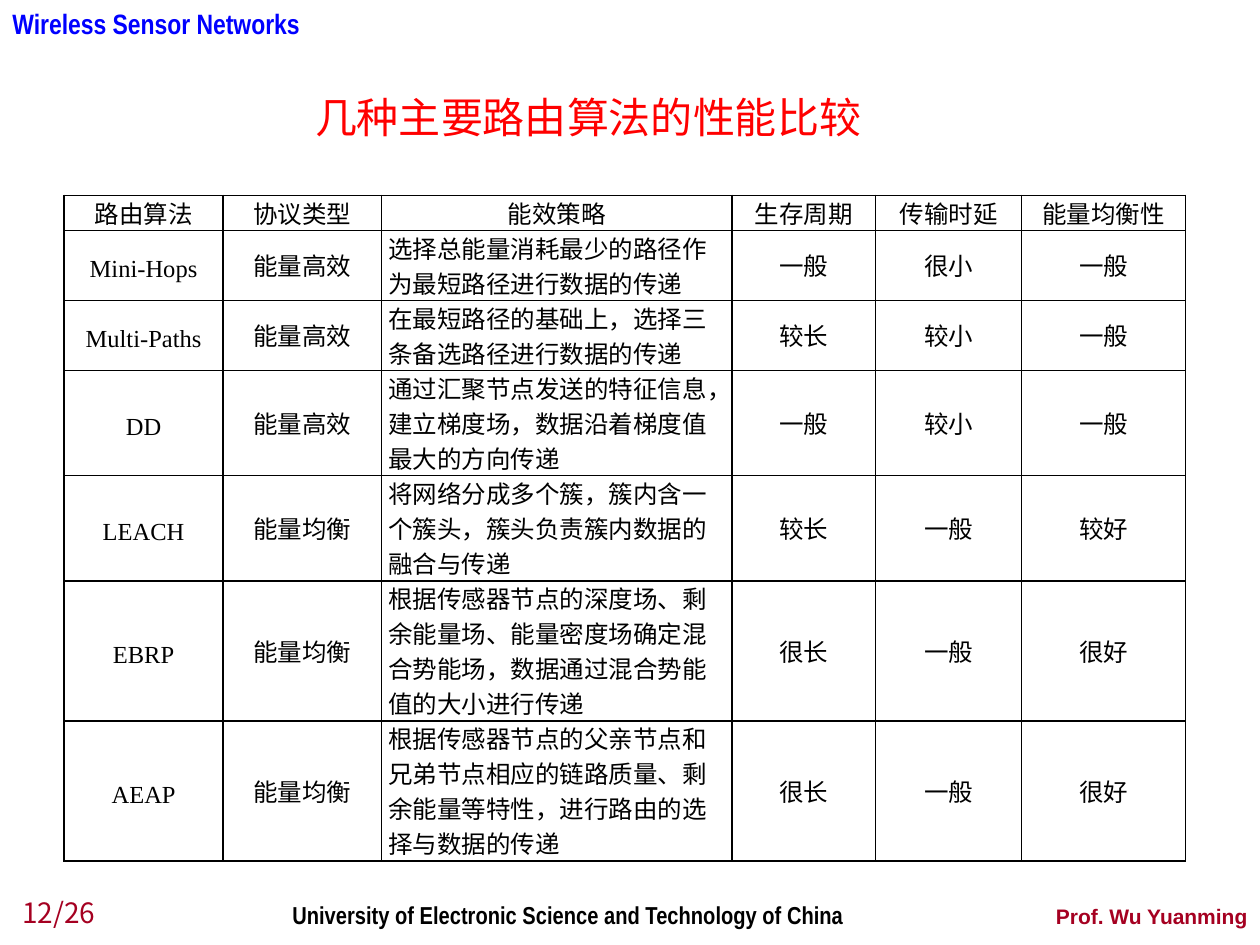
from lxml.etree import SubElement as Sub
from pptx import Presentation
from pptx.dml.color import RGBColor
from pptx.enum.text import MSO_ANCHOR as Anchor, MSO_AUTO_SIZE as Auto, PP_ALIGN as Align
from pptx.oxml.ns import qn
from pptx.util import Inches, Pt


def tint(code):
    return RGBColor.from_string(code)


def write(frame, text, size=14, face="Times New Roman", color="000000",
          bold=False, align=Align.LEFT, lead=None):
    para = frame.paragraphs[0]
    para.alignment = align
    para.line_spacing = lead
    run = para.add_run()
    run.text = text
    font = run.font
    font.size, font.name, font.bold = Pt(size), face, bold
    font.color.rgb = tint(color)
    Sub(run._r.get_or_add_rPr(), qn("a:ea"), typeface="Noto Sans CJK JP")


deck = Presentation()
deck.slide_width, deck.slide_height = Inches(10), Inches(7.5)
slide = deck.slides.add_slide(deck.slide_layouts[5])

title = slide.shapes.title
title.left, title.top = Inches(2.4), Inches(0.68)
title.width, title.height = Inches(5.04), Inches(0.5)
title.text_frame.auto_size = Auto.NONE
title.text_frame.vertical_anchor = Anchor.MIDDLE
write(title.text_frame, "几种主要路由算法的性能比较", size=24, face="Arial", color="FF0000")

top, low = Anchor.TOP, Anchor.BOTTOM
notes = [
    ("Wireless Sensor Networks", (0, 0, 2.48, 0.37), 0.1, top, False,
     dict(size=16, face="Arial Narrow", color="0000FF", bold=True)),
    ("University of Electronic Science and Technology of China",
     (2.32, 7.14, 4.57, 0.23), 0, top, True,
     dict(face="Arial Narrow", bold=True)),
    ("Prof. Wu Yuanming", (8.15, 7.06, 1.85, 0.36), 0.1, low, True,
     dict(size=12, face="Arial", color="A50021", bold=True, align=Align.RIGHT)),
    ("12/26", (0.08, 7.03, 1.06, 0.39), 0.1, low, True,
     dict(size=16, face="Noto Sans CJK JP", color="A50021")),
]
for text, spot, pad, anchor, wrap, style in notes:
    frame = slide.shapes.add_textbox(*map(Inches, spot)).text_frame
    frame.word_wrap = wrap
    frame.vertical_anchor = anchor
    frame.margin_left = frame.margin_right = Inches(pad)
    frame.margin_top = frame.margin_bottom = Inches(pad / 2)
    write(frame, text, **style)

rows = [
    (1, "路由算法", "协议类型", "能效策略", "生存周期", "传输时延", "能量均衡性"),
    (2, "Mini-Hops", "能量高效", "选择总能量消耗最少的路径作为最短路径进行数据的传递",
     "一般", "很小", "一般"),
    (2, "Multi-Paths", "能量高效", "在最短路径的基础上，选择三条备选路径进行数据的传递",
     "较长", "较小", "一般"),
    (3, "DD", "能量高效", "通过汇聚节点发送的特征信息，建立梯度场，数据沿着梯度值最大的方向传递",
     "一般", "较小", "一般"),
    (3, "LEACH", "能量均衡", "将网络分成多个簇，簇内含一个簇头，簇头负责簇内数据的融合与传递",
     "较长", "一般", "较好"),
    (4, "EBRP", "能量均衡",
     "根据传感器节点的深度场、剩余能量场、能量密度场确定混合势能场，数据通过混合势能值的大小进行传递",
     "很长", "一般", "很好"),
    (4, "AEAP", "能量均衡",
     "根据传感器节点的父亲节点和兄弟节点相应的链路质量、剩余能量等特性，进行路由的选择与数据的传递",
     "很长", "一般", "很好"),
]
widths = [1.26, 1.26, 2.78, 1.14, 1.16, 1.3]
lead = Pt(20)
table = slide.shapes.add_table(len(rows), len(widths), Inches(0.51), Inches(1.55),
                               Inches(8.9), lead * 19).table
table.first_row = table.horz_banding = False
for col, width in zip(table.columns, widths):
    col.width = Inches(width)

for r, (lines, *texts) in enumerate(rows):
    table.rows[r].height = lead * lines
    for c, text in enumerate(texts):
        cell = table.cell(r, c)
        prose = r > 0 and c == 2
        cell.margin_left = cell.margin_right = Inches(0.05)
        cell.margin_top = cell.margin_bottom = 0
        cell.vertical_anchor = Anchor.TOP if prose else Anchor.MIDDLE
        write(cell.text_frame, text, lead=lead,
              align=Align.LEFT if prose else Align.CENTER)
        props = cell._tc.get_or_add_tcPr()
        for side in "LRTB":
            line = Sub(props, qn("a:ln" + side), w=str(Pt(1)))
            Sub(Sub(line, qn("a:solidFill")), qn("a:srgbClr"), val="000000")
        cell.fill.background()

deck.save("out.pptx")
